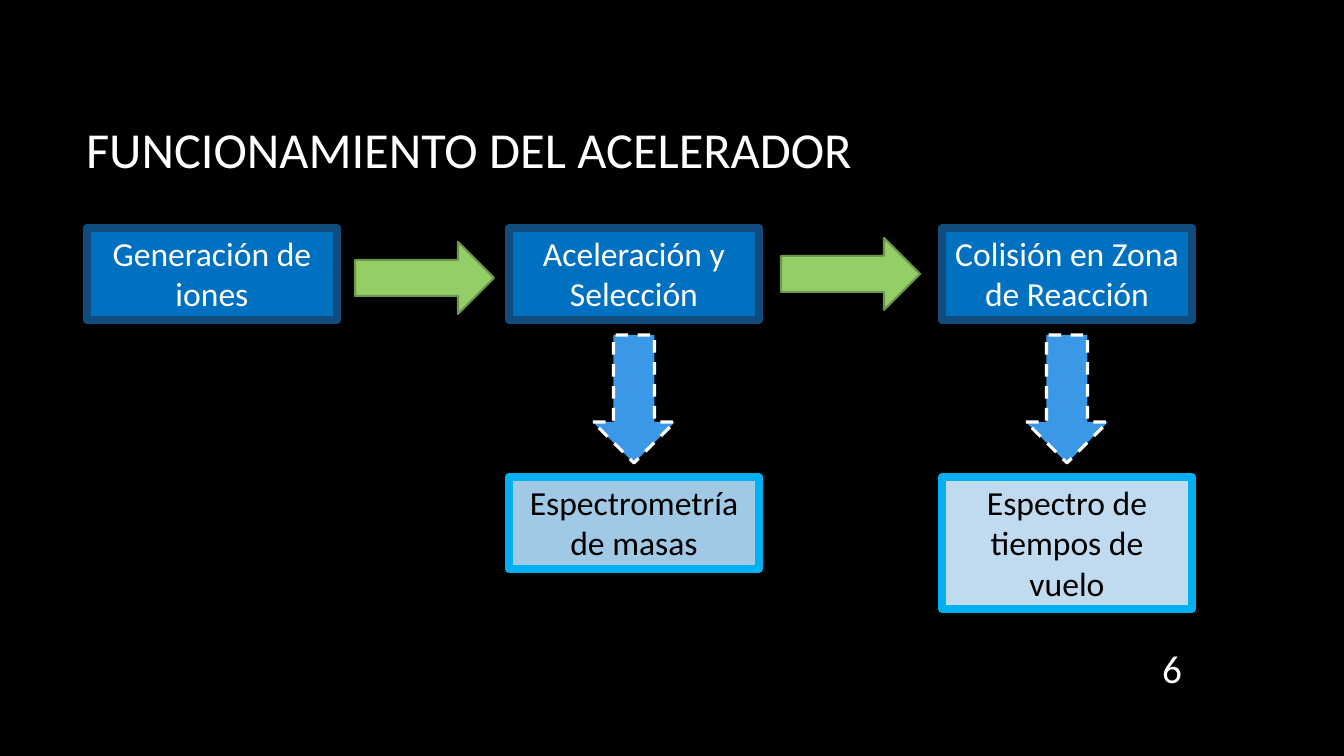
from pptx import Presentation
from pptx import util as u
from pptx.dml.color import RGBColor
from pptx.enum import dml, shapes, text

EMU_PER_PX = 914400 / 100.8
FONT = "Calibri"
WHITE, BLACK = "FFFFFF", "000000"

COLUMNS = (87, 509, 942)
BOX_WIDTH, BOX_HEIGHT, TALL_HEIGHT = 250, 92, 132
STAGE_TOP, DOWN_TOP, RESULT_TOP = 228, 335, 477


def px(length):
    return u.Emu(round(length * EMU_PER_PX))


def color(value):
    return RGBColor.from_string(value)


def place(item, box):
    item.left, item.top, item.width, item.height = map(px, box)


def write(frame, words, size, ink, align):
    """Put one formatted run in the frame's first paragraph."""
    frame.word_wrap = True
    para = frame.paragraphs[0]
    para.alignment = align
    span = para.add_run()
    span.text = words
    span.font.name = FONT
    span.font.size = u.Pt(size)
    span.font.color.rgb = color(ink)


def add_figure(page, kind, box, fill, line, weight):
    figure = page.shapes.add_shape(kind, *map(px, box))
    figure.shadow.inherit = False
    figure.fill.solid()
    figure.fill.fore_color.rgb = color(fill)
    figure.line.color.rgb = color(line)
    figure.line.width = u.Pt(weight)
    return figure


def add_label_box(page, box, words, fill, line, ink):
    figure = add_figure(page, shapes.MSO_SHAPE.RECTANGLE, box, fill, line, 5.75)
    frame = figure.text_frame
    frame.vertical_anchor = text.MSO_ANCHOR.TOP
    write(frame, words, 24, ink, text.PP_ALIGN.CENTER)
    frame.auto_size = text.MSO_AUTO_SIZE.SHAPE_TO_FIT_TEXT


def add_title(page, box, words):
    title = page.shapes.title
    place(title, box)
    title.text_frame.vertical_anchor = text.MSO_ANCHOR.MIDDLE
    write(title.text_frame, words, 36, WHITE, text.PP_ALIGN.LEFT)


def add_page_number(page, box, number):
    frame = page.shapes.add_textbox(*map(px, box)).text_frame
    frame.vertical_anchor = text.MSO_ANCHOR.MIDDLE
    write(frame, number, 28, WHITE, text.PP_ALIGN.RIGHT)


def add_stages(page):
    """Draw the top row of stages and the arrows between them."""
    stages = ("Generación de iones", "Aceleración y Selección",
              "Colisión en Zona de Reacción")
    for left, words in zip(COLUMNS, stages):
        add_label_box(page, (left, STAGE_TOP, BOX_WIDTH, BOX_HEIGHT),
                      words, "0070C0", "104C7E", WHITE)
    for left, top in ((355, 242), (781, 238)):
        add_figure(page, shapes.MSO_SHAPE.RIGHT_ARROW, (left, top, 139, 72),
                   "94CE67", "6D984C", 1.5)


def add_result(page, left, height, words, fill):
    """Draw a result box and the dashed arrow centred above it."""
    width = 82
    arrow_box = (left + (BOX_WIDTH - width) // 2, DOWN_TOP, width, 128)
    arrow = add_figure(page, shapes.MSO_SHAPE.DOWN_ARROW, arrow_box,
                       "3B98E6", WHITE, 2.25)
    arrow.line.dash_style = dml.MSO_LINE.DASH
    add_label_box(page, (left, RESULT_TOP, BOX_WIDTH, height),
                  words, fill, "00B0F0", BLACK)


def main():
    deck = Presentation()
    deck.slide_width, deck.slide_height = px(1344), px(756)
    page = deck.slides.add_slide(deck.slide_layouts[5])
    page.background.fill.solid()
    page.background.fill.fore_color.rgb = color(BLACK)

    add_title(page, (76, 68, 1117, 160), "FUNCIONAMIENTO DEL ACELERADOR")
    add_page_number(page, (1132, 647, 60, 41), "6")
    add_stages(page)
    add_result(page, COLUMNS[1], BOX_HEIGHT, "Espectrometría de masas", "A0C9E6")
    add_result(page, COLUMNS[2], TALL_HEIGHT, "Espectro de tiempos de vuelo",
               "C0DBEF")
    deck.save("out.pptx")


if __name__ == "__main__":
    main()
